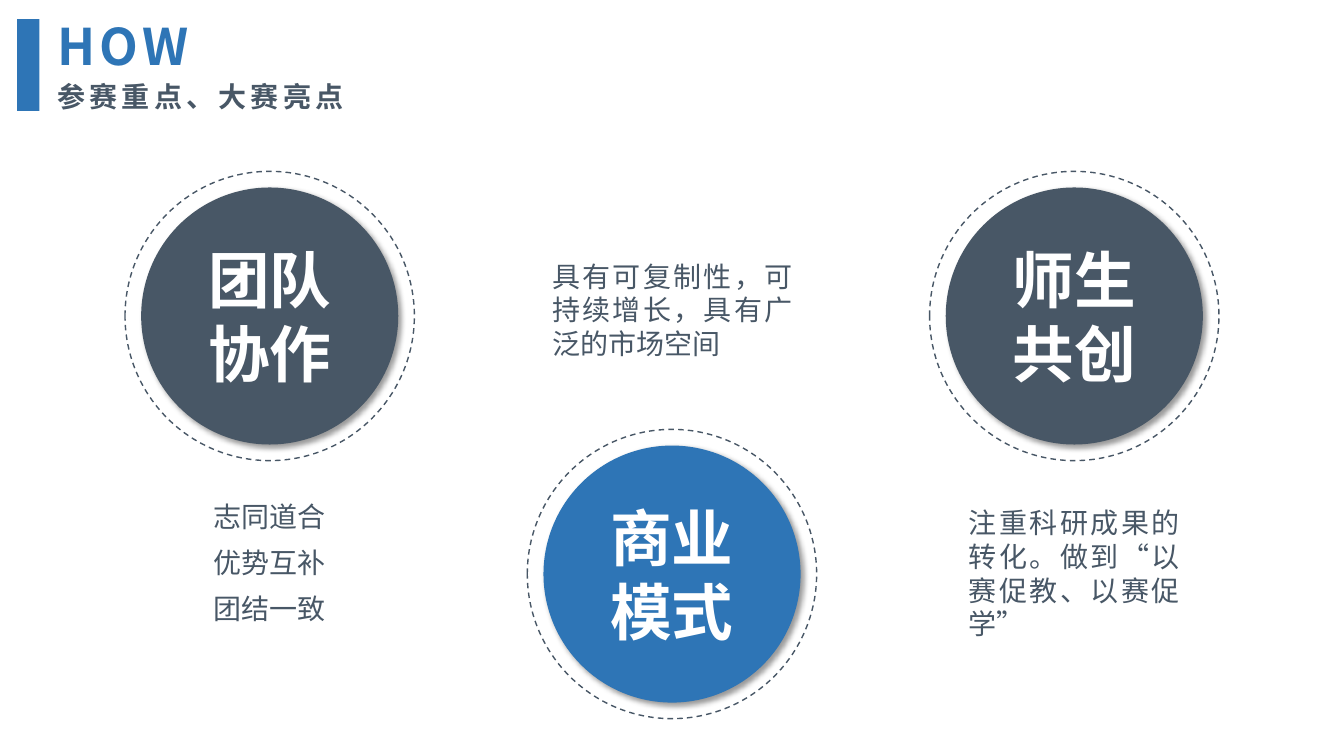
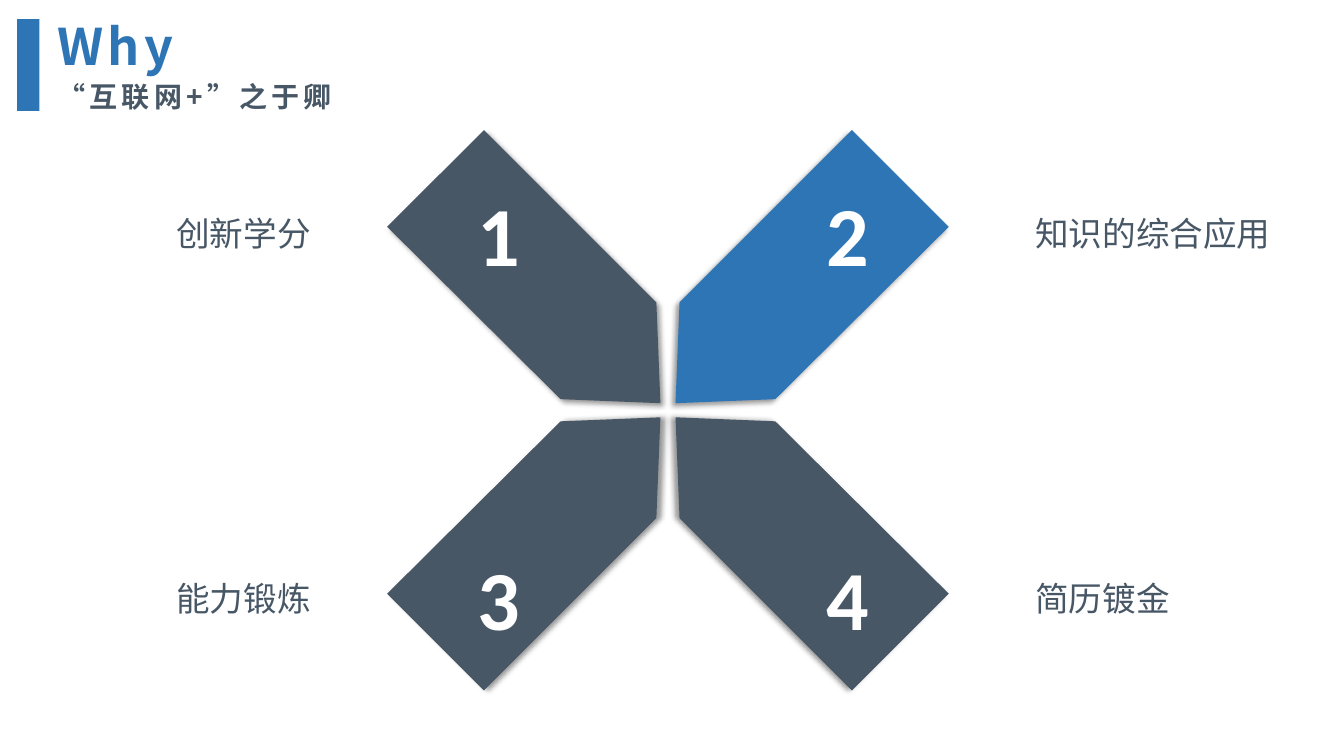
"""Build the two competition slides: key points (HOW) and reasons (Why)."""

from dataclasses import dataclass
from typing import Optional

import lxml.etree
import pptx
import pptx.dml.color
import pptx.enum.dml
import pptx.enum.shapes
import pptx.enum.text
import pptx.oxml.ns
import pptx.presentation
import pptx.shapes.autoshape
import pptx.slide
import pptx.text.text
import pptx.util

PX = 9144
COLOURS = {"blue": "2E75B6", "slate": "485766", "white": "FFFFFF", "black": "000000"}
CJK_FONT = "Noto Sans CJK SC"
ALIGN = pptx.enum.text.PP_ALIGN
ANCHOR = pptx.enum.text.MSO_ANCHOR
SHAPE = pptx.enum.shapes.MSO_SHAPE

RING_SIZE = 287
DISC_INSET = 16
ARM_POINTS = [(651, 300), (655, 400), (556, 396), (384, 225), (480, 129)]
MIRROR_WIDTH = 1325
MIRROR_HEIGHT = 814


@dataclass(frozen=True)
class Style:
    """Character and paragraph formatting."""

    size: int
    colour: str = "slate"
    bold: bool = False
    align: ALIGN = ALIGN.LEFT
    spacing: int = 0
    font: str = CJK_FONT


@dataclass(frozen=True)
class Frame:
    """Position and size in px."""

    left: int
    top: int
    width: int
    height: int

    def emu(self) -> tuple[int, int, int, int]:
        """Return the frame in EMU."""
        return self.left * PX, self.top * PX, self.width * PX, self.height * PX


@dataclass(frozen=True)
class Badge:
    """A disc within a dashed ring."""

    left: int
    top: int
    text: str
    colour: str


@dataclass(frozen=True)
class Note:
    """A block of plain text."""

    frame: Frame
    text: str
    align: ALIGN


@dataclass(frozen=True)
class Arm:
    """One arm of the cross with its number and label."""

    number: str
    label: str
    label_width: int
    right: bool
    lower: bool
    shadow_angle: int
    colour: str = "slate"


TITLE_STYLE = Style(36, "blue", bold=True, spacing=300)
SUBTITLE_STYLE = Style(20, bold=True, spacing=300)
BADGE_STYLE = Style(44, "white", bold=True, align=ALIGN.CENTER)
NUMBER_STYLE = Style(60, "white", bold=True, align=ALIGN.CENTER, font="Calibri")
LABEL_STYLE = Style(24, align=ALIGN.JUSTIFY)

BADGES = [
    Badge(523, 426, "商业模式", "blue"),
    Badge(922, 170, "师生共创", "slate"),
    Badge(124, 170, "团队协作", "slate"),
]
NOTES = [
    Note(Frame(538, 252, 258, 111), "具有可复制性，可持续增长，具有广泛的市场空间", ALIGN.JUSTIFY),
    Note(Frame(951, 497, 229, 145), "注重科研成果的转化。做到“以赛促教、以赛促学”", ALIGN.JUSTIFY),
    Note(Frame(153, 491, 229, 44), "志同道合", ALIGN.CENTER),
    Note(Frame(153, 536, 229, 44), "优势互补", ALIGN.CENTER),
    Note(Frame(153, 582, 229, 44), "团结一致", ALIGN.CENTER),
]
ARMS = [
    Arm("1", "创新学分", 156, False, False, 45),
    Arm("2", "知识的综合应用", 258, True, False, 135, "blue"),
    Arm("3", "能力锻炼", 157, False, True, 0),
    Arm("4", "简历镀金", 154, True, True, 180),
]


def rgb(name: str) -> pptx.dml.color.RGBColor:
    """Look up a named colour."""
    return pptx.dml.color.RGBColor.from_string(COLOURS[name])


def write(frame: pptx.text.text.TextFrame, text: str, style: Style) -> None:
    """Put one formatted paragraph into a text frame."""
    frame.text = text
    para = frame.paragraphs[0]
    para.alignment = style.align
    font = para.font
    font.size = pptx.util.Pt(style.size)
    font.bold = style.bold
    font.name = style.font
    font.color.rgb = rgb(style.colour)
    defaults = para._p.pPr.find(pptx.oxml.ns.qn("a:defRPr"))
    defaults.set("spc", str(style.spacing))
    lxml.etree.SubElement(defaults, pptx.oxml.ns.qn("a:ea"), typeface=style.font)


def fit(frame: pptx.text.text.TextFrame) -> None:
    """Wrap the text from the top and let its box grow."""
    frame.word_wrap = True
    frame.auto_size = pptx.enum.text.MSO_AUTO_SIZE.SHAPE_TO_FIT_TEXT
    frame.vertical_anchor = ANCHOR.TOP


def add_text(page: pptx.slide.Slide, frame: Frame, text: str, style: Style) -> None:
    """Add a text box."""
    box = page.shapes.add_textbox(*frame.emu())
    fit(box.text_frame)
    write(box.text_frame, text, style)


def paint(shape: pptx.shapes.autoshape.Shape, colour: str, shadow_angle: Optional[int] = None) -> None:
    """Fill a shape, drop its outline and optionally cast a soft shadow."""
    shape.fill.solid()
    shape.fill.fore_color.rgb = rgb(colour)
    shape.line.fill.background()
    shape.shadow.inherit = False
    if shadow_angle is None:
        return
    qn = pptx.oxml.ns.qn
    effects = shape._element.spPr.find(qn("a:effectLst"))
    shadow = lxml.etree.SubElement(
        effects, qn("a:outerShdw"), blurRad=str(pptx.util.Pt(4)), dist=str(pptx.util.Pt(3)),
        dir=str(shadow_angle * 60000), algn="ctr", rotWithShape="0",
    )
    tint = lxml.etree.SubElement(shadow, qn("a:srgbClr"), val=COLOURS["black"])
    lxml.etree.SubElement(tint, qn("a:alpha"), val="40000")


def add_page(deck: pptx.presentation.Presentation, title: str, subtitle: str) -> pptx.slide.Slide:
    """Add a slide with the shared heading."""
    page = deck.slides.add_slide(deck.slide_layouts.get_by_name("Title Only"))
    heading = page.shapes.title
    heading.left, heading.top, heading.width, heading.height = Frame(47, 10, 347, 71).emu()
    fit(heading.text_frame)
    write(heading.text_frame, title, TITLE_STYLE)
    add_text(page, Frame(47, 74, 318, 44), subtitle, SUBTITLE_STYLE)
    bar = page.shapes.add_shape(SHAPE.RECTANGLE, *Frame(17, 19, 22, 91).emu())
    paint(bar, "blue")
    return page


def add_badge(page: pptx.slide.Slide, badge: Badge) -> None:
    """Draw a dashed ring and the disc inside it."""
    ring_frame = Frame(badge.left, badge.top, RING_SIZE, RING_SIZE)
    ring = page.shapes.add_shape(SHAPE.OVAL, *ring_frame.emu())
    ring.shadow.inherit = False
    ring.fill.background()
    ring.line.color.rgb = rgb("slate")
    ring.line.width = pptx.util.Pt(1)
    ring.line.dash_style = pptx.enum.dml.MSO_LINE.DASH
    size = RING_SIZE - 2 * DISC_INSET
    disc_frame = Frame(badge.left + DISC_INSET, badge.top + DISC_INSET, size, size)
    disc = page.shapes.add_shape(SHAPE.OVAL, *disc_frame.emu())
    paint(disc, badge.colour, 45)
    disc.text_frame.word_wrap = True
    disc.text_frame.vertical_anchor = ANCHOR.MIDDLE
    write(disc.text_frame, badge.text, BADGE_STYLE)


def add_arm(page: pptx.slide.Slide, arm: Arm) -> None:
    """Draw one arm of the cross, mirrored as needed, with its texts."""
    points = [
        (MIRROR_WIDTH - x if arm.right else x, MIRROR_HEIGHT - y if arm.lower else y)
        for x, y in ARM_POINTS
    ]
    builder = page.shapes.build_freeform(*points[0], scale=PX)
    builder.add_line_segments(points[1:], close=True)
    paint(builder.convert_to_shape(), arm.colour, arm.shadow_angle)
    number_frame = Frame(803 if arm.right else 457, 537 if arm.lower else 176, 75, 111)
    add_text(page, number_frame, arm.number, NUMBER_STYLE)
    label_frame = Frame(1017 if arm.right else 165, 568 if arm.lower else 206, arm.label_width, 50)
    add_text(page, label_frame, arm.label, LABEL_STYLE)


def main() -> None:
    """Build and save the deck."""
    deck = pptx.Presentation()
    deck.slide_width, deck.slide_height = 1333 * PX, 750 * PX

    how = add_page(deck, "HOW", "参赛重点、大赛亮点")
    for badge in BADGES:
        add_badge(how, badge)
    for note in NOTES:
        add_text(how, note.frame, note.text, Style(20, align=note.align))

    why = add_page(deck, "Why", "“互联网+”之于卿")
    for arm in ARMS:
        add_arm(why, arm)

    deck.save("out.pptx")


if __name__ == "__main__":
    main()
